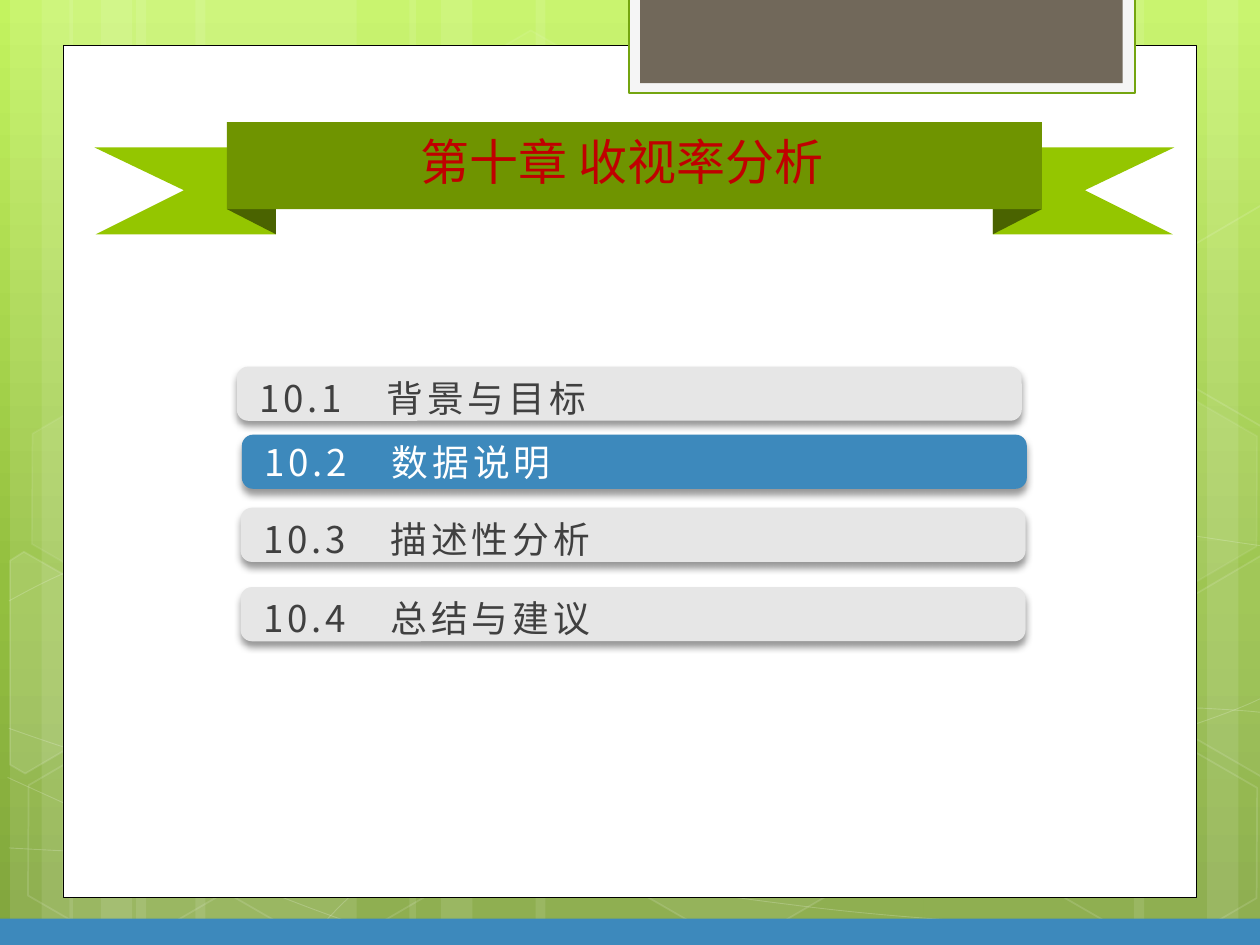
"""Build the chapter ten contents slide with its ribbon title."""
import copy
import pptx
import pptx.dml.color
import pptx.enum.shapes
import pptx.enum.text
import pptx.oxml
import pptx.oxml.ns
import pptx.util

WIDE, HIGH = 10, 7.5
HUES = {"white": "FFFFFF", "black": "000000", "blue": "3D89BC", "grey": "E6E6E6",
        "ink": "404040", "red": "C00000", "pale": "F5F5F5", "taupe": "71685A",
        "edge": "74A510", "lime": "94C600", "leaf": "6F9400", "moss": "4A6300",
        "top": "C3F35F", "mid": "93BF3F", "low": "81A53E"}
SKY = [(0, "top"), (0.62, "mid"), (1, "low")]
TITLE = "第十章 收视率分析"
ITEMS = [
    ("10.1　背景与目标", 1.88, 2.91, 2.88, 0.02, "grey", "ink"),
    ("10.2　数据说明", 1.92, 3.45, 2.55, -0.01, "blue", "white"),
    ("10.3　描述性分析", 1.91, 4.03, 2.88, 0.02, "grey", "ink"),
    ("10.4　总结与建议", 1.91, 4.66, 2.88, 0.02, "grey", "ink"),
]
BANDS = [(1.08, 1.75), (0.08, 0.5), (0.33, 0.83), (1.55, 1.75), (0.55, 0.5), (0.8, 0.83),
         (7.33, 1.75), (9.58, 0.5), (9, 0.83), (4.25, 3.08), (3.25, 0.5), (3.5, 0.83)]
WAVES = [
    [(0.07, 6.73), (0.61, 6.76), (1.15, 6.79), (1.9, 6.78), (2.65, 6.77), (3.58, 6.75),
     (4.58, 6.65), (5.58, 6.55), (7, 6.36), (7.92, 6.17), (8.83, 5.98), (9.77, 5.68),
     (10.07, 5.51)],
    [(0.07, 4.77), (0.36, 4.61), (0.65, 4.46), (1.21, 4.31), (1.78, 4.16), (2.59, 3.94),
     (3.47, 3.87), (4.36, 3.8), (5.44, 3.79), (6.54, 3.87), (7.64, 3.95), (9.47, 4.26),
     (10.07, 4.34)],
    [(0.06, 6.17), (1.27, 6.72), (2.47, 7.27), (3.34, 7.49)],
    [(0.07, 5.78), (0.38, 5.89), (0.7, 6), (1.28, 6.16), (1.86, 6.31), (2.73, 6.56),
     (3.57, 6.73), (4.4, 6.9), (5.45, 7.08), (6.28, 7.18), (7.11, 7.29), (8, 7.33),
     (8.53, 7.36), (9.05, 7.4), (9.19, 7.38), (9.45, 7.38), (9.71, 7.37), (9.89, 7.35),
     (10.07, 7.34)],
    [(2.42, 7.49), (2.6, 7.29), (2.78, 7.09), (3.02, 6.91), (3.26, 6.73), (3.6, 6.53),
     (3.88, 6.39), (4.16, 6.25), (4.33, 6.19), (4.7, 6.09), (5.06, 5.99), (5.73, 5.85),
     (6.08, 5.78), (6.44, 5.71), (6.49, 5.71), (6.8, 5.69), (7.11, 5.66), (7.6, 5.63),
     (7.94, 5.62), (8.29, 5.61), (8.86, 5.62), (8.86, 5.62), (9.08, 5.62), (9.31, 5.62),
     (9.53, 5.62), (9.71, 5.63), (9.88, 5.64), (9.97, 5.65), (10.06, 5.66), (10.03, 5.65),
     (10.06, 5.66)],
]
CELLS = [(3.34, 0.36, 4, 8), (4.97, 5.89, 6, 12), (0.11, 5.91, 0, 12), (0.14, 3.12, 7, 8),
         (1.74, 5.92, 0, 12), (7.53, 4.53, 10, 12), (8.34, 5.93, 0, 12), (8.34, 3.14, 7, 8)]
CUTS = [
    ([(0.08, 4.45), (0.19, 4.38), (0.96, 4.82), (0.95, 5.7), (0.2, 6.14), (0.08, 6.07)], 10),
    ([(9.26, 4.85), (10.01, 4.41), (10.09, 4.46), (10.09, 6.13), (10.02, 6.17),
      (9.26, 5.73)], 4),
    ([(9.26, 2.07), (10.01, 1.63), (10.1, 1.68), (10.09, 3.35), (10.02, 3.39),
      (9.26, 2.95)], 0),
]
TAIL = [(0.75, 1.17), (2.19, 1.17), (2.19, 1.86), (0.76, 1.86), (1.46, 1.51)]
MID = 5.035
BAR = (6.23, 0.43)
KIND = pptx.enum.shapes.MSO_SHAPE
NS = pptx.oxml.ns

deck = pptx.Presentation()
deck.slide_width, deck.slide_height = pptx.util.Inches(WIDE), pptx.util.Inches(HIGH)
slide = deck.slides.add_slide(deck.slide_layouts[5])
shapes = slide.shapes


def inch(*vals):
    return [pptx.util.Inches(val) for val in vals]


def rgb(name):
    return pptx.dml.color.RGBColor.from_string(HUES[name])


def make(tag, attrs):
    return pptx.oxml.parse_xml(f'<a:{tag} {NS.nsdecls("a")} {attrs}/>')


def tint(fill, name, clear=100):
    fill.solid()
    fill.fore_color.rgb = rgb(name)
    if clear < 100:
        node = fill._xPr.find(".//" + NS.qn("a:srgbClr"))
        node.append(make("alpha", f'val="{clear * 1000}"'))


def paint(shape, fill=None, clear=100, line=None, width=1, fade=100):
    shape.shadow.inherit = False
    if fill and clear:
        tint(shape.fill, fill, clear)
    else:
        shape.fill.background()
    if line:
        shape.line.width = pptx.util.Pt(width)
        tint(shape.line.fill, line, fade)
    else:
        shape.line.fill.background()
    return shape


def block(kind, box, **look):
    return paint(shapes.add_shape(kind, *inch(*box)), **look)


def trace(points, close=True, **look):
    first, *rest = [inch(*point) for point in points]
    pen = shapes.build_freeform(*first, scale=1.0)
    pen.add_line_segments(rest, close=close)
    return paint(pen.convert_to_shape(), **look)


def bend(shape):
    steps = list(shape._element.iter(NS.qn("a:lnTo")))
    for at in range(0, len(steps), 3):
        curve = make("cubicBezTo", "")
        steps[at].addprevious(curve)
        for step in steps[at:at + 3]:
            curve.append(step[0])
            step.getparent().remove(step)


def write(shape, text, font):
    frame = shape.text_frame
    look = {"word_wrap": False, "vertical_anchor": pptx.enum.text.MSO_ANCHOR.TOP,
            "auto_size": pptx.enum.text.MSO_AUTO_SIZE.SHAPE_TO_FIT_TEXT}
    for key, val in look.items():
        setattr(frame, key, val)
    para = frame.paragraphs[0]
    para.alignment = pptx.enum.text.PP_ALIGN.LEFT
    run = para.add_run()
    run.text = text
    for key, val in font.items():
        if key == "color":
            run.font.color.rgb = rgb(val)
        else:
            setattr(run.font, key, val)
    return run


def shade(shape):
    shape._element.spPr.find(NS.qn("a:effectLst")).append(pptx.oxml.parse_xml(
        f'<a:outerShdw {NS.nsdecls("a")} blurRad="50800" dist="38100" dir="5400000" '
        'algn="t" rotWithShape="0"><a:srgbClr val="000000"><a:alpha val="40000"/>'
        '</a:srgbClr></a:outerShdw>'))


sky = slide.background.fill
sky.gradient()
sky.gradient_angle = 270
stops = slide.element.find(".//" + NS.qn("a:gsLst"))
stops.append(copy.deepcopy(stops[0]))
for stop, (place, hue) in zip(sky.gradient_stops, SKY):
    stop.position, stop.color.rgb = place, rgb(hue)

for left, width in BANDS:
    block(KIND.RECTANGLE, (left, 0, width, HIGH), fill="white", clear=10)
for wave in WAVES:
    bend(trace(wave, close=False, line="white", width=0.5, fade=20))
for left, top, clear, fade in CELLS:
    cell = block(KIND.HEXAGON, (left, top, 1.75, 1.52), fill="white", clear=clear,
                 line="white", fade=fade)
    cell.adjustments[0], cell.adjustments[1] = 0.285, 1.155
    cell.rotation = 30
for points, clear in CUTS:
    trace(points, fill="white", clear=clear, line="white", fade=12)

block(KIND.RECTANGLE, (0.5, 0.36, 9, 6.76), fill="white", line="black", width=0.5)
block(KIND.RECTANGLE, (4.99, -0.02, 4.02, 0.76), fill="pale", line="edge", width=1.25)
block(KIND.RECTANGLE, (5.08, -0.02, 3.83, 0.68), fill="taupe")
block(KIND.RECTANGLE, (0, 7.29, WIDE, 0.21), fill="blue")

for text, left, top, width, drop, fill, ink in ITEMS:
    bar = block(KIND.ROUNDED_RECTANGLE, (left, top, *BAR), fill=fill)
    bar.adjustments[0] = 0.207
    shade(bar)
    label = shapes.add_textbox(*inch(left + 0.08, top + drop, width, 0.45))
    run = write(label, text, {
        "size": pptx.util.Pt(21), "name": "Noto Sans CJK SC", "color": ink})
    prop = run.font._element
    prop.set("spc", "220")
    prop.find(NS.qn("a:latin")).addnext(make("ea", 'typeface="Noto Sans CJK SC"'))

trace(TAIL, fill="lime")
trace([(2 * MID - x, y) for x, y in TAIL], fill="lime")
for left, flips in ((1.8, ("flipH", "flipV")), (7.88, ("flipV",))):
    fold = block(KIND.RIGHT_TRIANGLE, (left, 1.66, 0.39, 0.2), fill="moss")
    for flip in flips:
        fold._element.spPr.find(NS.qn("a:xfrm")).set(flip, "1")
block(KIND.RECTANGLE, (1.8, 0.97, 6.47, 0.69), fill="leaf")

title = shapes.title
for key, val in zip(("left", "top", "width", "height"), inch(3.24, 0.99, 3.45, 0.57)):
    setattr(title, key, val)
write(title, TITLE, {"size": pptx.util.Pt(28), "name": "League Spartan", "color": "red"})
title._element.getparent().append(title._element)

deck.save("out.pptx")
